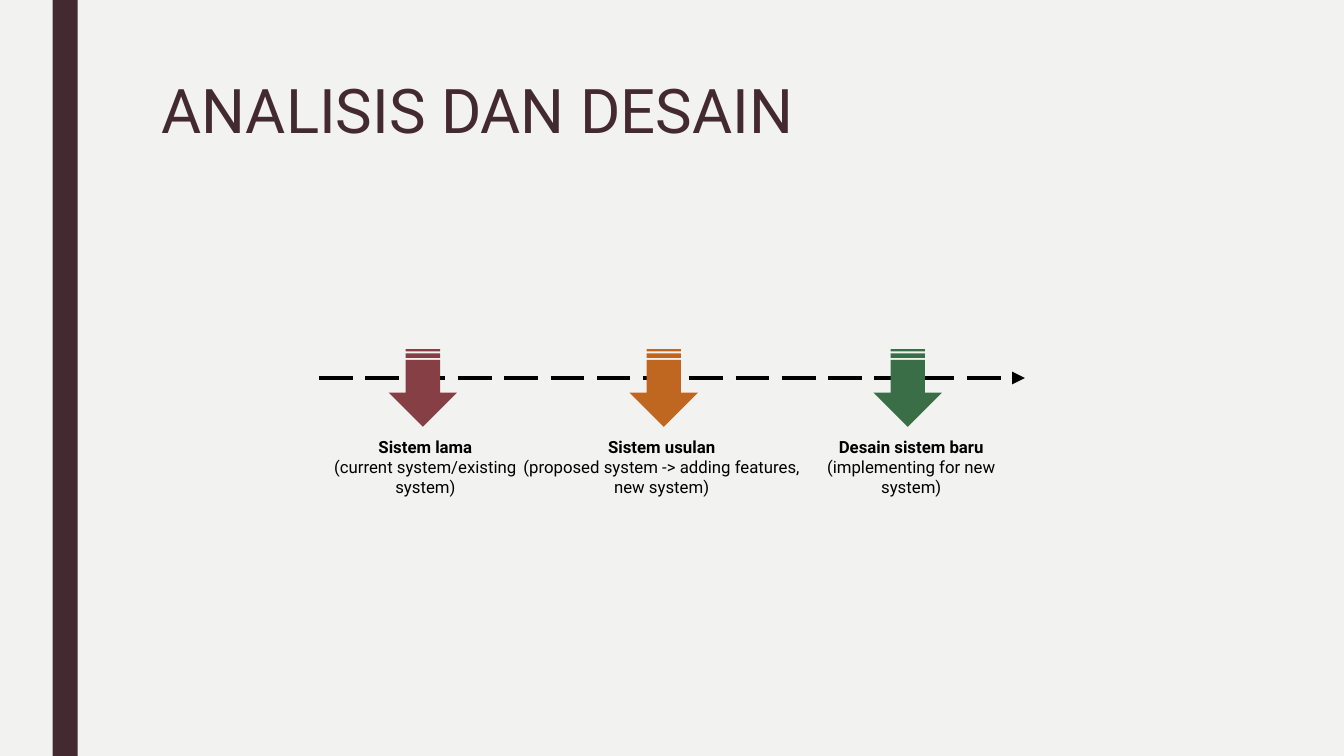
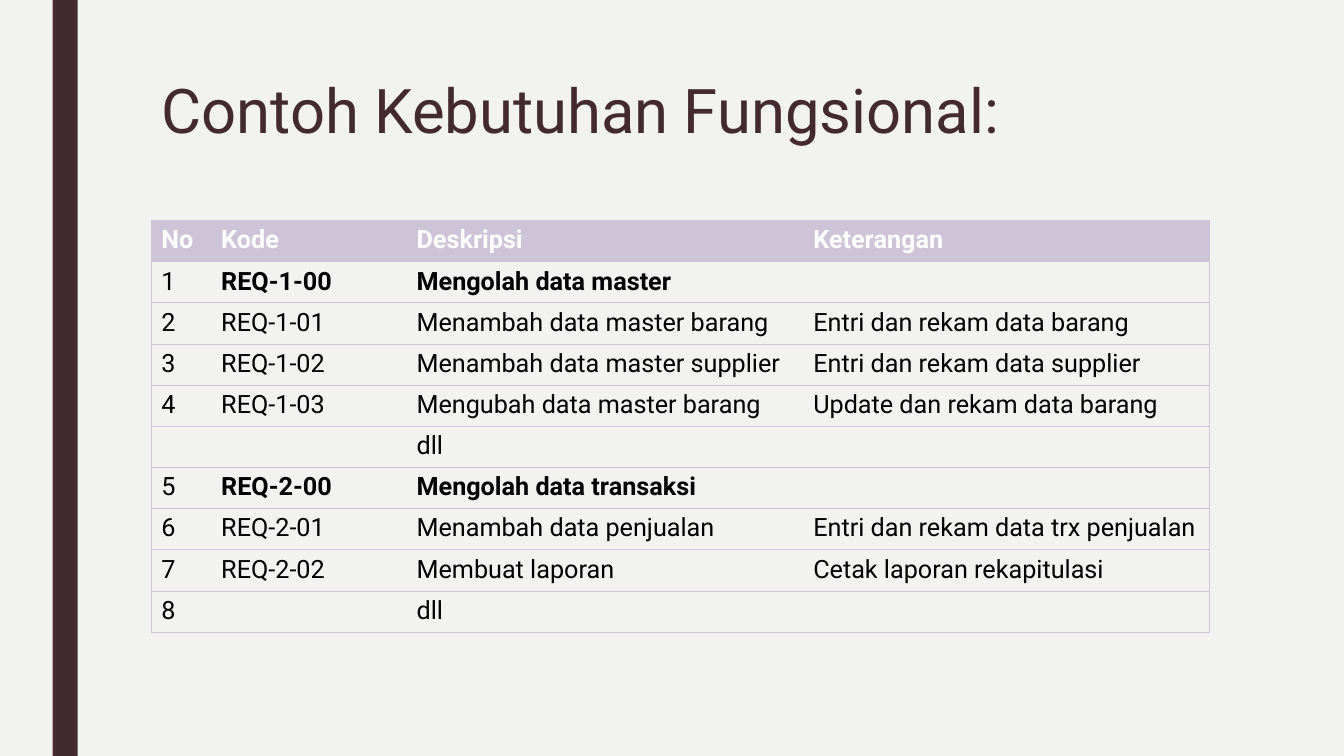
from dataclasses import dataclass

from lxml.etree import SubElement
from pptx import Presentation
from pptx.dml.color import RGBColor
from pptx.enum.dml import MSO_LINE
from pptx.enum.shapes import MSO_CONNECTOR, MSO_SHAPE
from pptx.enum.text import MSO_ANCHOR, MSO_AUTO_SIZE, PP_ALIGN
from pptx.oxml.ns import qn
from pptx.util import Inches, Pt


@dataclass(frozen=True)
class Theme:
    font: str = "Roboto"
    paper: str = "F2F2F0"
    plum: str = "432A30"
    ink: str = "000000"
    white: str = "FFFFFF"
    lilac: str = "CDC4D8"
    title_size: int = 44
    table_size: int = 18
    caption_size: int = 12
    timeline_width: int = 3
    rule_width: float = 0.5


THEME = Theme()
COLUMNS, ROWS = 160, 90
CONTENT_LEFT, CONTENT_WIDTH = 18, 126
TIMELINE_ROW = 45
ARROW_LENGTH, ARROW_BREADTH, ARROW_CENTRE_ROW = 9.24, 8.16, 46.2
CAPTION_TOP, CAPTION_HEIGHT = 51.36, 8.5
TABLE_TOP, TABLE_ROW = 26.25, 4.9
TABLE_COLUMNS = (7.14, 23.26, 47.23, 48.37)
PLAIN_TABLE_STYLE = "{2D5ABB26-0587-4C30-8999-92F81FD0307C}"

STAGES = (
    ("Sistem lama", "(current system/existing system)", "863F44", 50.34, 38.4, 24.5),
    ("Sistem usulan", "(proposed system -> adding features, new system)",
     "BF6621", 79.02, 60.96, 35.64),
    ("Desain sistem baru", "(implementing for new system)", "3A6E47", 108.06, 96.24, 24.5),
)

REQUIREMENTS = (
    ("No", "Kode", "Deskripsi", "Keterangan"),
    ("1", "REQ-1-00", "Mengolah data master", ""),
    ("2", "REQ-1-01", "Menambah data master barang", "Entri dan rekam data barang"),
    ("3", "REQ-1-02", "Menambah data master supplier", "Entri dan rekam data supplier"),
    ("4", "REQ-1-03", "Mengubah data master barang", "Update dan rekam data barang"),
    ("", "", "dll", ""),
    ("5", "REQ-2-00", "Mengolah data transaksi", ""),
    ("6", "REQ-2-01", "Menambah data penjualan", "Entri dan rekam data trx penjualan"),
    ("7", "REQ-2-02", "Membuat laporan", "Cetak laporan rekapitulasi"),
    ("8", "", "dll", ""),
)


def grid(*steps):
    return [Inches(step / 12) for step in steps]


def rgb(color):
    return RGBColor.from_string(color)


def write(frame, text, *, size, color=THEME.ink, bold=False,
          align=PP_ALIGN.LEFT, spacing=None):
    paragraph = frame.paragraphs[0]
    if paragraph.runs:
        paragraph = frame.add_paragraph()
    paragraph.alignment = align
    paragraph.line_spacing = spacing
    run = paragraph.add_run()
    run.text = text
    run.font.name = THEME.font
    run.font.size = Pt(size)
    run.font.bold = bold
    run.font.color.rgb = rgb(color)


def add_block(slide, preset, box, color):
    block = slide.shapes.add_shape(preset, *grid(*box))
    block.shadow.inherit = False
    block.fill.solid()
    block.fill.fore_color.rgb = rgb(color)
    block.line.fill.background()
    return block


def style_template(presentation, layout, first_slide):
    master = presentation.slide_master
    master.background.fill.solid()
    master.background.fill.fore_color.rgb = rgb(THEME.paper)
    band = add_block(first_slide, MSO_SHAPE.RECTANGLE, (6.25, 0, 3, ROWS), THEME.plum)
    master.shapes.element.insert(2, band.element)
    heading = layout.placeholders[0]
    heading.left, heading.top, heading.width, heading.height = grid(
        CONTENT_LEFT, 9, CONTENT_WIDTH, 19.5)
    heading.text_frame.vertical_anchor = MSO_ANCHOR.TOP
    heading.text_frame.auto_size = MSO_AUTO_SIZE.NONE


def add_title(slide, text):
    write(slide.shapes.title.text_frame, text, size=THEME.title_size,
          color=THEME.plum, spacing=0.89)


def add_timeline(slide, start, end):
    timeline = slide.shapes.add_connector(
        MSO_CONNECTOR.STRAIGHT, *grid(start, TIMELINE_ROW, end, TIMELINE_ROW))
    timeline.line.color.rgb = rgb(THEME.ink)
    timeline.line.width = Pt(THEME.timeline_width)
    timeline.line.dash_style = MSO_LINE.LONG_DASH
    properties = timeline.element.spPr
    SubElement(properties.find(qn("a:ln")), qn("a:tailEnd"), type="triangle")
    SubElement(properties, qn("a:effectLst"))


def add_stage_arrow(slide, centre, color):
    box = (centre - ARROW_LENGTH / 2, ARROW_CENTRE_ROW - ARROW_BREADTH / 2,
           ARROW_LENGTH, ARROW_BREADTH)
    add_block(slide, MSO_SHAPE.STRIPED_RIGHT_ARROW, box, color).rotation = 90


def add_caption(slide, name, detail, left, width):
    caption = slide.shapes.add_textbox(
        *grid(left, CAPTION_TOP, width, CAPTION_HEIGHT)).text_frame
    caption.word_wrap = True
    caption.auto_size = MSO_AUTO_SIZE.SHAPE_TO_FIT_TEXT
    for text, bold in ((name, True), (detail, False)):
        write(caption, text, size=THEME.caption_size, bold=bold, align=PP_ALIGN.CENTER)


def rule_cell(cell, sides):
    properties = cell._tc.get_or_add_tcPr()
    for side in sides:
        rule = SubElement(properties, qn(f"a:ln{side}"), w=str(Pt(THEME.rule_width)))
        fill = SubElement(rule, qn("a:solidFill"))
        SubElement(fill, qn("a:srgbClr"), val=THEME.lilac)


def add_requirements(slide, records):
    table = slide.shapes.add_table(
        len(records), len(TABLE_COLUMNS),
        *grid(CONTENT_LEFT, TABLE_TOP, CONTENT_WIDTH, TABLE_ROW * len(records))).table
    table.horz_banding = False
    table._tbl.tblPr.find(qn("a:tableStyleId")).text = PLAIN_TABLE_STYLE
    for column, width in zip(table.columns, grid(*TABLE_COLUMNS)):
        column.width = width
    last = len(TABLE_COLUMNS) - 1
    for row, record in enumerate(records):
        header = row == 0
        group = record[1].endswith("-00")
        for column, text in enumerate(record):
            cell = table.cell(row, column)
            rule_cell(cell, "L" * (column == 0) + "R" * (column == last) + "TB")
            if header:
                cell.fill.solid()
                cell.fill.fore_color.rgb = rgb(THEME.lilac)
            else:
                cell.fill.background()
            if text:
                write(cell.text_frame, text, size=THEME.table_size,
                      color=THEME.white if header else THEME.ink,
                      bold=header or (group and column > 0))


def main():
    presentation = Presentation()
    presentation.slide_width, presentation.slide_height = grid(COLUMNS, ROWS)
    layout = presentation.slide_layouts.get_by_name("Title Only")
    design = presentation.slides.add_slide(layout)
    style_template(presentation, layout, design)

    add_title(design, "ANALISIS DAN DESAIN")
    add_timeline(design, 38, 122)
    for name, detail, color, centre, left, width in STAGES:
        add_stage_arrow(design, centre, color)
        add_caption(design, name, detail, left, width)

    functional = presentation.slides.add_slide(layout)
    add_title(functional, "Contoh Kebutuhan Fungsional:")
    add_requirements(functional, REQUIREMENTS)

    presentation.save("out.pptx")


if __name__ == "__main__":
    main()
